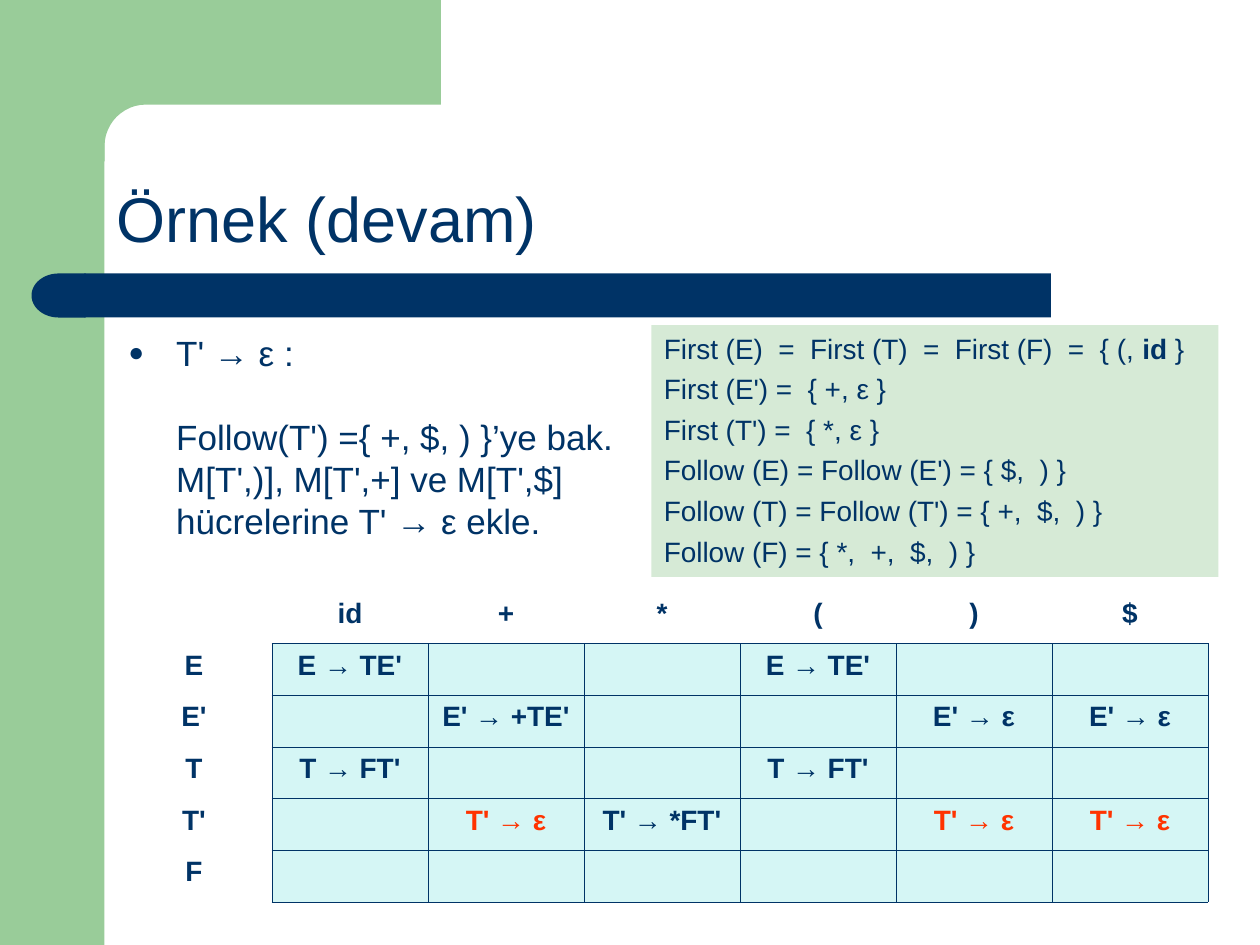
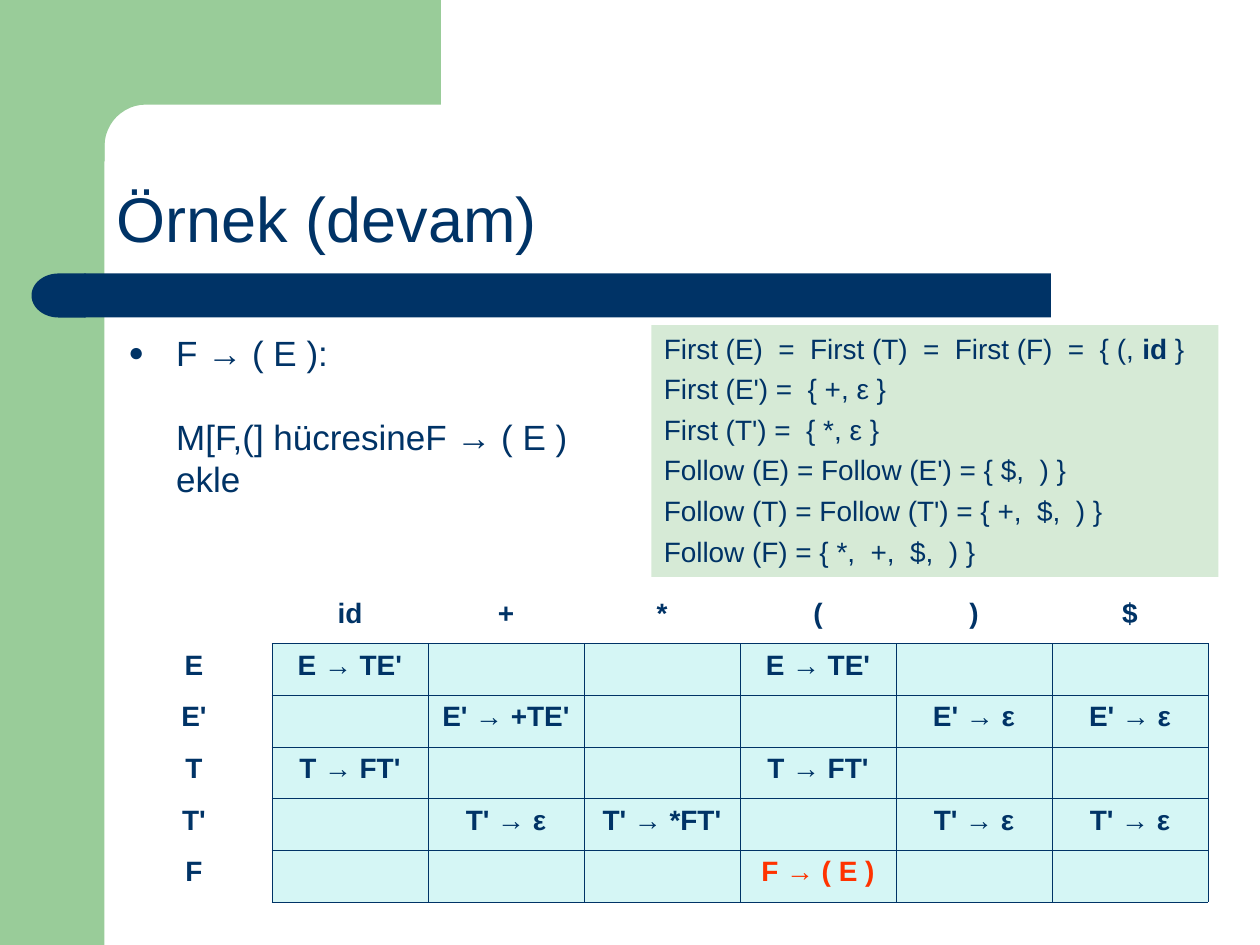
"""Build two slides that fill in an LL(1) parsing table step by step."""
from dataclasses import dataclass
from math import cos, pi, sin

from lxml import etree
from pptx import Presentation
from pptx import util as u
from pptx.dml.color import RGBColor
from pptx.enum import shapes, text
from pptx.oxml.ns import qn


@dataclass(frozen=True)
class Theme:
    font: str = "Arial"
    navy: str = "003366"
    green: str = "99CC99"
    pale: str = "D6EAD6"
    aqua: str = "D5F6F5"
    red: str = "FF3300"
    title: int = 36
    body: int = 20
    small: int = 16
    rule: float = 0.45


T = Theme()
KIND = shapes.MSO_SHAPE

TITLE = "Örnek (devam)"
SETS = [
    ["First (E)  =  First (T)  =  First (F)  =  { (, ", "id", " }"],
    ["First (E') =  { +, ε }"],
    ["First (T') =  { *, ε }"],
    ["Follow (E) = Follow (E') = { $,  ) }"],
    ["Follow (T) = Follow (T') = { +,  $,  ) }"],
    ["Follow (F) = { *,  +,  $,  ) }"],
]
TOKENS = ["id", "+", "*", "(", ")", "$"]
RULES = ["E", "E'", "T", "T'", "F"]
START = {
    ("E", "id"): "E → TE'", ("E", "("): "E → TE'",
    ("E'", "+"): "E' → +TE'", ("E'", ")"): "E' → ε", ("E'", "$"): "E' → ε",
    ("T", "id"): "T → FT'", ("T", "("): "T → FT'",
    ("T'", "*"): "T' → *FT'",
}
STEPS = [
    ("T' → ε :",
     "Follow(T') ={ +, $, ) }’ye bak. M[T',)], M[T',+] ve M[T',$] "
     "hücrelerine T' → ε ekle.",
     {("T'", key): "T' → ε" for key in "+)$"}),
    ("F → ( E ):",
     "M[F,(] hücresineF → ( E ) ekle",
     {("F", "("): "F → ( E )"}),
]


def rgb(code):
    return RGBColor.from_string(code)


def box(at):
    return [u.Inches(n) for n in at]


def paint(shape, color):
    shape.shadow.inherit = False
    shape.fill.solid()
    shape.fill.fore_color.rgb = rgb(color)
    shape.line.fill.background()
    return shape


def block(slide, kind, at, color):
    return paint(slide.shapes.add_shape(kind, *box(at)), color)


def style(para, size, color=T.navy, bold=False):
    font = para.font
    font.name, font.size, font.bold = T.font, u.Pt(size), bold
    font.color.rgb = rgb(color)


def frame(slide, at):
    area = slide.shapes.add_textbox(*box(at)).text_frame
    area.word_wrap = True
    return area


def indent(para, left, first):
    props = para._p.get_or_add_pPr()
    props.set("marL", str(u.Inches(left)))
    props.set("indent", str(u.Inches(first)))
    return props


def bullet(para):
    props = indent(para, 0.38, -0.38)
    tint = etree.SubElement(props, qn("a:buClr"))
    etree.SubElement(tint, qn("a:srgbClr"), val=T.navy)
    etree.SubElement(props, qn("a:buSzPct"), val="75000")
    etree.SubElement(props, qn("a:buFont"), typeface=T.font)
    etree.SubElement(props, qn("a:buChar"), char="●")


def corner(slide):
    edge, mid, rad = 0.83, 1.16, 0.33
    arc = [(mid - rad * sin(k * pi / 24), mid - rad * cos(k * pi / 24))
           for k in range(13)]
    dots = [(3.5, 0), (3.5, edge), *arc, (edge, 1.28), (0.5, 1.28), (0.5, 0)]
    first, *rest = [box(dot) for dot in dots]
    path = slide.shapes.build_freeform(*first)
    path.add_line_segments(rest, close=True)
    paint(path.convert_to_shape(), T.green)


def decor(slide):
    block(slide, KIND.RECTANGLE, (0, 0, 0.83, 7.5), T.green)
    corner(slide)
    block(slide, KIND.RECTANGLE, (0.67, 2.17, 7.67, 0.35), T.navy)
    cap = block(slide, KIND.FLOWCHART_DELAY, (0.25, 2.17, 0.43, 0.35), T.navy)
    cap.rotation = 180


def title(slide):
    area = frame(slide, (0.83, 0.83, 8.67, 1.25))
    area.vertical_anchor = text.MSO_ANCHOR.BOTTOM
    para = area.paragraphs[0]
    para.text = TITLE
    para.line_spacing = 0.9
    style(para, T.title)


def task(slide, head, note):
    area = frame(slide, (0.92, 2.58, 4.12, 1.95))
    top, low = area.paragraphs[0], area.add_paragraph()
    top.text, low.text = head, note
    bullet(top)
    indent(low, 0.38, 0)
    low.space_before = u.Pt(24)
    for para in (top, low):
        style(para, T.body)


def panel(slide):
    area = block(slide, KIND.RECTANGLE, (5.17, 2.58, 4.5, 2), T.pale).text_frame
    area.word_wrap = True
    area.vertical_anchor = text.MSO_ANCHOR.TOP
    for row, parts in enumerate(SETS):
        para = area.add_paragraph() if row else area.paragraphs[0]
        para.alignment = text.PP_ALIGN.LEFT
        if row:
            para.space_before = u.Pt(4)
        indent(para, 0.38, -0.38)
        style(para, T.small)
        for part in parts:
            run = para.add_run()
            run.text = part
            if part == "id":
                run.font.bold = True


def border(cell):
    props = cell._tc.get_or_add_tcPr()
    for side in "LRTB":
        line = etree.SubElement(props, qn("a:ln" + side), w=str(u.Pt(T.rule)))
        fill = etree.SubElement(line, qn("a:solidFill"))
        etree.SubElement(fill, qn("a:srgbClr"), val=T.navy)


def write(cell, words, color=T.navy):
    para = cell.text_frame.paragraphs[0]
    para.text = words
    para.alignment = text.PP_ALIGN.CENTER
    style(para, T.small, color, True)


def matrix(slide, known, fresh):
    size = len(RULES) + 1, len(TOKENS) + 1
    grid = slide.shapes.add_table(*size, *box((0.92, 4.7, 8.67, 2.46))).table
    grid.first_row = grid.horz_banding = False
    plain = "{2D5ABB26-0587-4C30-8999-92F81FD0307C}"
    grid._tbl.tblPr.find(qn("a:tableStyleId")).text = plain
    for row, rule in enumerate(["", *RULES]):
        for col, token in enumerate(["", *TOKENS]):
            cell, key = grid.cell(row, col), (rule, token)
            if row and col:
                border(cell)
                cell.fill.solid()
                cell.fill.fore_color.rgb = rgb(T.aqua)
                words = fresh.get(key, known.get(key, ""))
                write(cell, words, T.red if key in fresh else T.navy)
            else:
                cell.fill.background()
                write(cell, rule or token)


def main():
    deck = Presentation()
    deck.slide_width, deck.slide_height = box((10, 7.5))
    known = dict(START)
    for head, note, fresh in STEPS:
        slide = deck.slides.add_slide(deck.slide_layouts[6])
        decor(slide)
        title(slide)
        task(slide, head, note)
        panel(slide)
        matrix(slide, known, fresh)
        known.update(fresh)
    deck.save("out.pptx")


if __name__ == "__main__":
    main()
